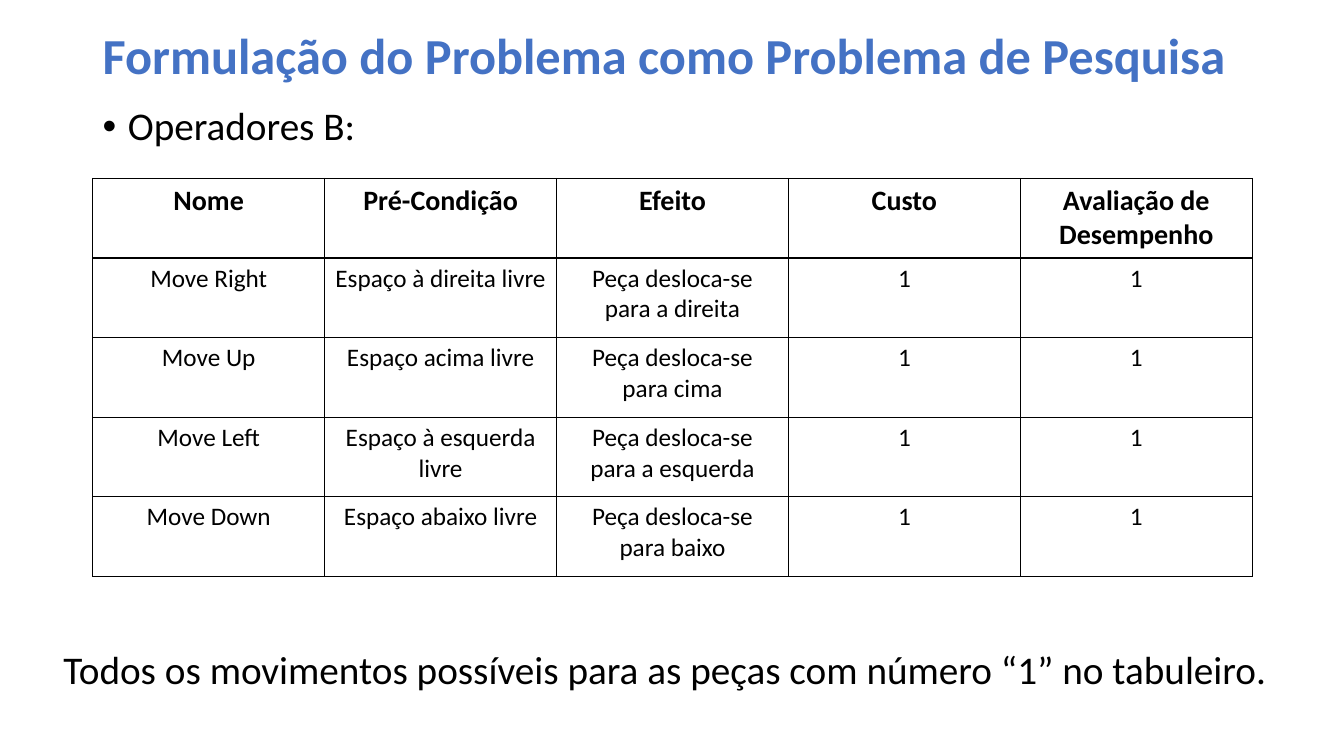
from lxml import etree
from pptx import Presentation
from pptx import util as u
from pptx.dml.color import RGBColor
from pptx.enum import text
from pptx.oxml import parse_xml
from pptx.oxml.ns import nsdecls, qn

PX = 9144
COLORS = {"title": "4472C4", "ink": "000000"}
FONT = "Calibri"


def style(paragraph, size, color="ink", bold=False):
    for run in paragraph.runs:
        run.font.name = FONT
        run.font.size = u.Pt(size)
        run.font.bold = bold
        run.font.color.rgb = RGBColor.from_string(COLORS[color])


def add_text(box, content, size, color="ink", bold=False, wrap=True):
    frame = slide.shapes.add_textbox(*[n * PX for n in box]).text_frame
    frame.word_wrap = wrap
    frame.text = content
    style(frame.paragraphs[0], size, color, bold)
    return frame


presentation = Presentation()
presentation.slide_width = 1333 * PX
presentation.slide_height = 750 * PX
slide = presentation.slides.add_slide(presentation.slide_layouts[6])

title = add_text((92, -20, 1150, 155),
                 "Formulação do Problema como Problema de Pesquisa",
                 36, "title", bold=True)
title.vertical_anchor = text.MSO_ANCHOR.MIDDLE
title.paragraphs[0].line_spacing = 0.9

operators = add_text((92, 101, 1150, 635), "Operadores B:", 28).paragraphs[0]
operators.line_spacing = 0.9
operators.space_before = u.Pt(10)
properties = operators._p.get_or_add_pPr()
properties.set("marL", str(25 * PX))
properties.set("indent", str(-25 * PX))
etree.SubElement(properties, qn("a:buFont")).set("typeface", "Arial")
etree.SubElement(properties, qn("a:buChar")).set("char", "•")

rows = [
    ("Nome", "Pré-Condição", "Efeito", "Custo", "Avaliação de Desempenho"),
    ("Move Right", "Espaço à direita livre", "Peça desloca-se para a direita", "1", "1"),
    ("Move Up", "Espaço acima livre", "Peça desloca-se para cima", "1", "1"),
    ("Move Left", "Espaço à esquerda livre", "Peça desloca-se para a esquerda", "1", "1"),
    ("Move Down", "Espaço abaixo livre", "Peça desloca-se para baixo", "1", "1"),
]
table = slide.shapes.add_table(len(rows), len(rows[0]),
                               92 * PX, 177 * PX, 1150 * PX, 395 * PX).table
table.first_row = False
table.horz_banding = False
for row_index, row in enumerate(rows):
    table.rows[row_index].height = 79 * PX
    for column_index, content in enumerate(row):
        cell = table.cell(row_index, column_index)
        cell.text = content
        paragraph = cell.text_frame.paragraphs[0]
        paragraph.alignment = text.PP_ALIGN.CENTER
        is_header = row_index == 0
        style(paragraph, 20 if is_header else 18, bold=is_header)
        cell_properties = cell._tc.get_or_add_tcPr()
        for side in "LRTB":
            cell_properties.append(parse_xml(
                f'<a:ln{side} {nsdecls("a")} w="12700"><a:solidFill>'
                f'<a:srgbClr val="{COLORS["ink"]}"/></a:solidFill></a:ln{side}>'))
        cell.fill.background()

note = add_text((53, 635, 1227, 57),
                "Todos os movimentos possíveis para as peças com número “1” no tabuleiro.",
                28, wrap=False)
note.auto_size = text.MSO_AUTO_SIZE.SHAPE_TO_FIT_TEXT

presentation.save("out.pptx")
